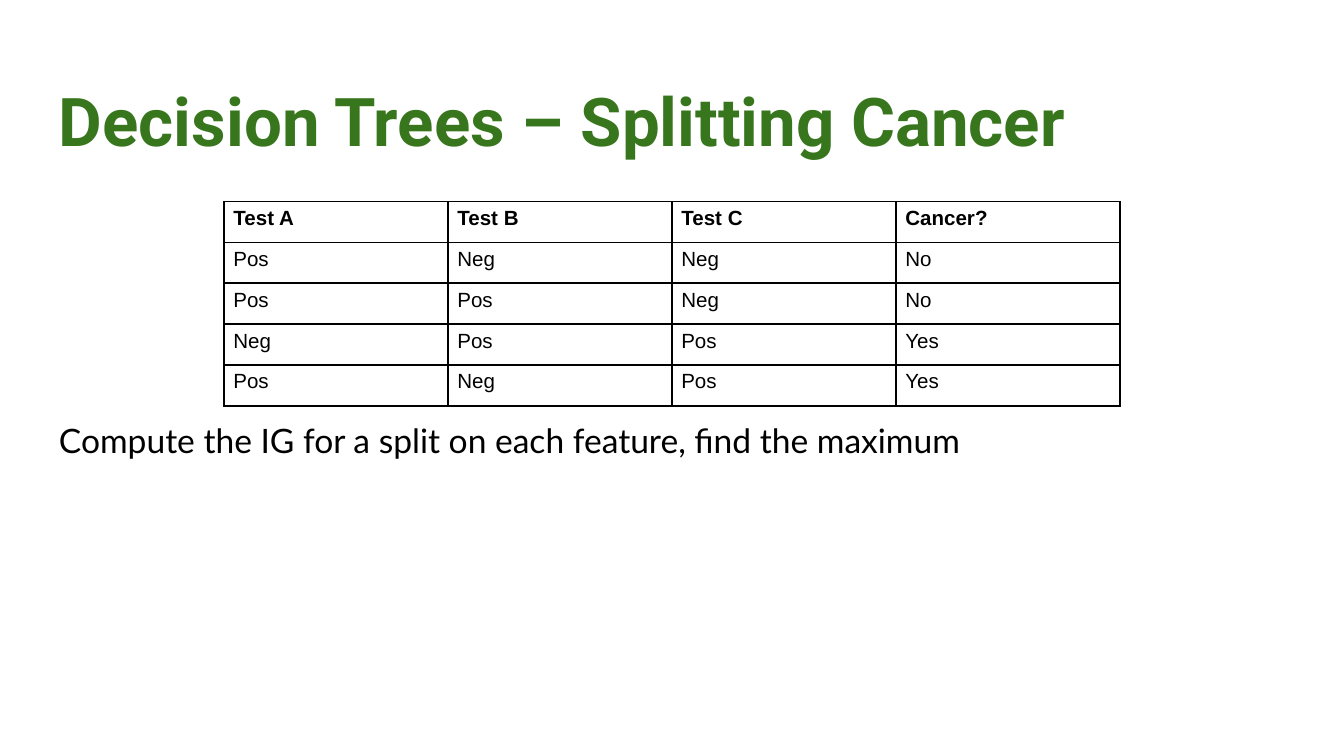
from dataclasses import dataclass

from lxml.etree import SubElement
from pptx import Presentation
from pptx.dml.color import RGBColor
from pptx.enum.text import MSO_ANCHOR
from pptx.oxml.ns import qn
from pptx.slide import Slide
from pptx.table import _Cell
from pptx.text.text import _Paragraph
from pptx.util import Inches, Pt

GREEN = RGBColor(0x38, 0x76, 0x1D)
BLACK = RGBColor(0, 0, 0)
WHITE = RGBColor(0xFF, 0xFF, 0xFF)

# Slide grid: six equal columns, the table fills the middle four
SLIDE_W = 10
SLIDE_H = SLIDE_W * 9 / 16
COLUMN_W = SLIDE_W / 6
TABLE_TOP, TABLE_H = 1.5, 1.52
MARGIN = 0.34
PADDING = 0.1


@dataclass(frozen=True)
class Style:
    font: str
    size: int
    color: RGBColor = BLACK
    bold: bool = False


@dataclass(frozen=True)
class TextBlock:
    text: str
    top: float
    height: float
    style: Style
    line_spacing: float = 1.0


HEADER_STYLE = Style("Arial", 11, bold=True)
RESULT_STYLE = Style("Arial", 11)

TEXT_BLOCKS = (
    TextBlock("Decision Trees – Splitting Cancer", 0.49, 0.63,
              Style("Roboto", 36, GREEN, True)),
    TextBlock("Compute the IG for a split on each feature, find the maximum",
              2.98, 2.02, Style("Lato", 18), 1.15),
)

TEST_RESULTS = (
    ("Test A", "Test B", "Test C", "Cancer?"),
    ("Pos", "Neg", "Neg", "No"),
    ("Pos", "Pos", "Neg", "No"),
    ("Neg", "Pos", "Pos", "Yes"),
    ("Pos", "Neg", "Pos", "Yes"),
)


def write(paragraph: _Paragraph, text: str, style: Style) -> None:
    paragraph.text = text
    for run in paragraph.runs:
        run.font.name = style.font
        run.font.size = Pt(style.size)
        run.font.bold = style.bold
        run.font.color.rgb = style.color


def add_text_block(slide: Slide, block: TextBlock) -> None:
    frame = slide.shapes.add_textbox(
        Inches(MARGIN), Inches(block.top),
        Inches(SLIDE_W - 2 * MARGIN), Inches(block.height)).text_frame
    frame.word_wrap = True
    frame.vertical_anchor = MSO_ANCHOR.TOP
    frame.margin_left = frame.margin_right = Inches(PADDING)
    frame.margin_top = frame.margin_bottom = Inches(PADDING)
    frame.paragraphs[0].line_spacing = block.line_spacing
    write(frame.paragraphs[0], block.text, block.style)


def format_cell(cell: _Cell) -> None:
    cell.margin_left = cell.margin_right = Inches(0.07)
    cell.margin_top = cell.margin_bottom = Inches(0.04)
    cell.fill.solid()
    cell.fill.fore_color.rgb = WHITE
    # Borders come before the fill in the cell properties
    properties = cell._tc.get_or_add_tcPr()
    for position, side in enumerate(("lnL", "lnR", "lnT", "lnB")):
        border = SubElement(properties, qn(f"a:{side}"), w=str(Pt(1)))
        fill = SubElement(border, qn("a:solidFill"))
        SubElement(fill, qn("a:srgbClr"), val=str(BLACK))
        properties.insert(position, border)


def add_results_table(slide: Slide) -> None:
    row_count, column_count = len(TEST_RESULTS), len(TEST_RESULTS[0])
    results = slide.shapes.add_table(
        row_count, column_count, Inches(COLUMN_W), Inches(TABLE_TOP),
        Inches(column_count * COLUMN_W), Inches(TABLE_H)).table
    results.horz_banding = False
    for row, values in enumerate(TEST_RESULTS):
        style = RESULT_STYLE if row else HEADER_STYLE
        for column, value in enumerate(values):
            cell = results.cell(row, column)
            write(cell.text_frame.paragraphs[0], value, style)
            format_cell(cell)


def main() -> None:
    presentation = Presentation()
    presentation.slide_width = Inches(SLIDE_W)
    presentation.slide_height = Inches(SLIDE_H)
    slide = presentation.slides.add_slide(presentation.slide_layouts[6])

    # Title and task
    for block in TEXT_BLOCKS:
        add_text_block(slide, block)

    # Test results
    add_results_table(slide)

    presentation.save("out.pptx")


main()
